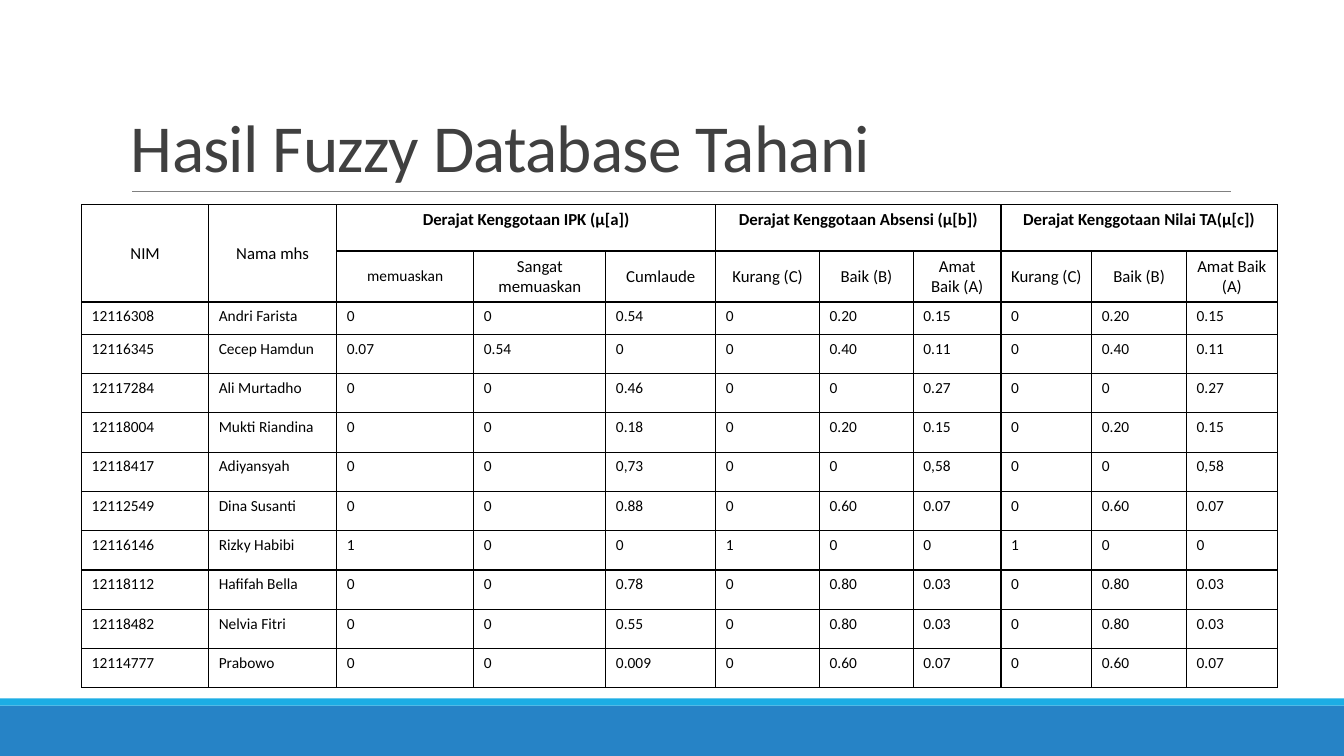
from dataclasses import dataclass
from typing import Any

from lxml.etree import SubElement
from pptx import Presentation
from pptx.dml.color import RGBColor
from pptx.enum.shapes import MSO_CONNECTOR, MSO_SHAPE
from pptx.enum.text import MSO_ANCHOR, PP_ALIGN
from pptx.oxml.ns import qn
from pptx.slide import Slide
from pptx.table import Table, _Cell
from pptx.text.text import _Paragraph
from pptx.util import Inches, Pt


@dataclass(frozen=True)
class Theme:
    """Colours and type sizes of the slide."""

    font: str = "Calibri"
    title: str = "404040"
    rule: str = "808080"
    ink: str = "000000"
    band: str = "2683C6"
    stripe: str = "1CADE4"
    title_size: float = 48
    header_size: float = 12
    body_size: float = 11


@dataclass(frozen=True)
class Band:
    """Full-width colour band at the foot of the slide."""

    top: float
    height: float
    color: str


@dataclass(frozen=True)
class HeaderGroup:
    """Heading with the three grades below it."""

    heading: str
    grades: tuple[str, str, str]


@dataclass(frozen=True)
class Student:
    """Membership degrees of one student."""

    number: str
    name: str
    gpa: tuple[str, str, str]
    attendance: tuple[str, str, str]

    def row(self) -> tuple[str, ...]:
        """Return the table row; the thesis degrees equal the attendance ones."""
        return (self.number, self.name, *self.gpa, *self.attendance, *self.attendance)


THEME = Theme()
WIDTH, HEIGHT = 13.33, 7.5
BANDS = (Band(7, 0.5, THEME.band), Band(6.93, 0.07, THEME.stripe))
COLUMN_WIDTHS = (1.26, 1.27, 1.36, 1.31, 1.09, 1.03, 0.93, 0.87, 0.9, 0.94, 0.9)
ROW_HEIGHTS = (0.46, 0.49, 0.32) + (0.39,) * 9
KEY_HEADINGS = ("NIM", "Nama mhs")
GRADES = ("Kurang (C)", "Baik (B)", "Amat Baik (A)")
GROUPS = (
    HeaderGroup("Derajat Kenggotaan IPK (µ[a])", ("memuaskan", "Sangat memuaskan", "Cumlaude")),
    HeaderGroup("Derajat Kenggotaan Absensi (µ[b])", GRADES),
    HeaderGroup("Derajat Kenggotaan Nilai TA(µ[c])", GRADES),
)
STUDENTS = (
    Student("12116308", "Andri Farista", ("0", "0", "0.54"), ("0", "0.20", "0.15")),
    Student("12116345", "Cecep Hamdun", ("0.07", "0.54", "0"), ("0", "0.40", "0.11")),
    Student("12117284", "Ali Murtadho", ("0", "0", "0.46"), ("0", "0", "0.27")),
    Student("12118004", "Mukti Riandina", ("0", "0", "0.18"), ("0", "0.20", "0.15")),
    Student("12118417", "Adiyansyah", ("0", "0", "0,73"), ("0", "0", "0,58")),
    Student("12112549", "Dina Susanti", ("0", "0", "0.88"), ("0", "0.60", "0.07")),
    Student("12116146", "Rizky Habibi", ("1", "0", "0"), ("1", "0", "0")),
    Student("12118112", "Hafifah Bella", ("0", "0", "0.78"), ("0", "0.80", "0.03")),
    Student("12118482", "Nelvia Fitri", ("0", "0", "0.55"), ("0", "0.80", "0.03")),
    Student("12114777", "Prabowo", ("0", "0", "0.009"), ("0", "0.60", "0.07")),
)


def apply_format(target: Any, values: dict[str, Any]) -> None:
    """Set each attribute named in a dict of format values."""
    for name, value in values.items():
        setattr(target, name, value)


def write(paragraph: _Paragraph, text: str, size: float, color: str, bold: bool = False) -> None:
    """Write one formatted run into a paragraph."""
    run = paragraph.add_run()
    run.text = text
    apply_format(run.font, {"name": THEME.font, "size": Pt(size), "bold": bold})
    run.font.color.rgb = RGBColor.from_string(color)


def draw_band(slide: Slide, band: Band) -> None:
    """Draw a footer band."""
    shape = slide.shapes.add_shape(
        MSO_SHAPE.RECTANGLE, 0, Inches(band.top), Inches(WIDTH), Inches(band.height)
    )
    shape.shadow.inherit = False
    shape.fill.solid()
    shape.fill.fore_color.rgb = RGBColor.from_string(band.color)
    shape.line.fill.background()


def draw_rule(slide: Slide) -> None:
    """Draw the thin line under the title."""
    rule = slide.shapes.add_connector(
        MSO_CONNECTOR.STRAIGHT, Inches(1.31), Inches(1.9), Inches(12.21), Inches(1.9)
    )
    rule.line.color.rgb = RGBColor.from_string(THEME.rule)
    rule.line.width = Pt(0.5)
    SubElement(rule._element.spPr, qn("a:effectLst"))


def draw_title(slide: Slide, text: str) -> None:
    """Draw the slide title."""
    box = slide.shapes.add_textbox(Inches(1.2), Inches(0.31), Inches(11), Inches(1.59))
    apply_format(box.text_frame, {"word_wrap": True, "vertical_anchor": MSO_ANCHOR.BOTTOM})
    paragraph = box.text_frame.paragraphs[0]
    paragraph.line_spacing = 0.85
    write(paragraph, text, THEME.title_size, THEME.title)
    paragraph.runs[0]._r.get_or_add_rPr().set("spc", "-50")


def outline(cell: _Cell) -> None:
    """Give a cell a clear fill and a border on all four sides."""
    properties = cell._tc.get_or_add_tcPr()
    for side in ("lnL", "lnR", "lnT", "lnB"):
        line = SubElement(properties, qn(f"a:{side}"), w=str(Pt(1)))
        fill = SubElement(line, qn("a:solidFill"))
        SubElement(fill, qn("a:srgbClr"), val=THEME.ink)
    cell.fill.background()


def write_header(cell: _Cell, text: str, size: float = THEME.header_size, top: bool = False) -> None:
    """Write a centred heading; a top heading is bold and sits high."""
    cell.vertical_anchor = MSO_ANCHOR.TOP if top else MSO_ANCHOR.MIDDLE
    paragraph = cell.text_frame.paragraphs[0]
    paragraph.alignment = PP_ALIGN.CENTER
    write(paragraph, text, size, THEME.ink, bold=top)


def fill_header(table: Table) -> None:
    """Merge and write the two heading rows."""
    for column, heading in enumerate(KEY_HEADINGS):
        table.cell(0, column).merge(table.cell(1, column))
        write_header(table.cell(0, column), heading)
    for index, group in enumerate(GROUPS):
        first = len(KEY_HEADINGS) + index * len(group.grades)
        table.cell(0, first).merge(table.cell(0, first + len(group.grades) - 1))
        write_header(table.cell(0, first), group.heading, top=True)
        for offset, grade in enumerate(group.grades):
            size = THEME.body_size if grade == "memuaskan" else THEME.header_size
            write_header(table.cell(1, first + offset), grade, size)


def draw_table(slide: Slide) -> None:
    """Draw the table of membership degrees."""
    table = slide.shapes.add_table(
        len(ROW_HEIGHTS), len(COLUMN_WIDTHS), Inches(0.81), Inches(2.03),
        Inches(sum(COLUMN_WIDTHS)), Inches(sum(ROW_HEIGHTS)),
    ).table
    apply_format(table, {"first_row": False, "horz_banding": False})
    for column, width in zip(table.columns, COLUMN_WIDTHS):
        column.width = Inches(width)
    for row, height in zip(table.rows, ROW_HEIGHTS):
        row.height = Inches(height)
    for cell in table.iter_cells():
        outline(cell)
    fill_header(table)
    for row_index, student in enumerate(STUDENTS, start=2):
        for column_index, text in enumerate(student.row()):
            paragraph = table.cell(row_index, column_index).text_frame.paragraphs[0]
            write(paragraph, text, THEME.body_size, THEME.ink)


def main() -> None:
    """Build and save the presentation."""
    presentation = Presentation()
    apply_format(presentation, {"slide_width": Inches(WIDTH), "slide_height": Inches(HEIGHT)})
    slide = presentation.slides.add_slide(presentation.slide_layouts[6])
    for band in BANDS:
        draw_band(slide, band)
    draw_rule(slide)
    draw_table(slide)
    draw_title(slide, "Hasil Fuzzy Database Tahani")
    presentation.save("out.pptx")


if __name__ == "__main__":
    main()
